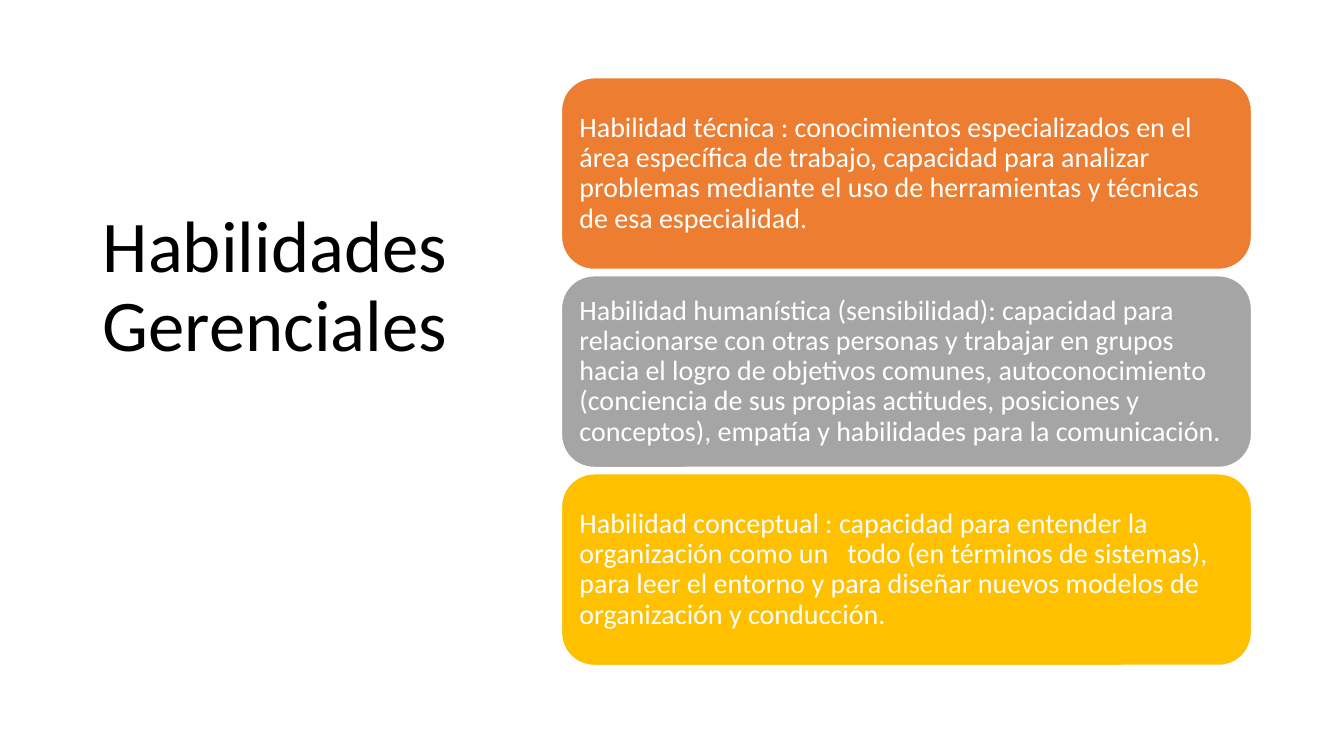
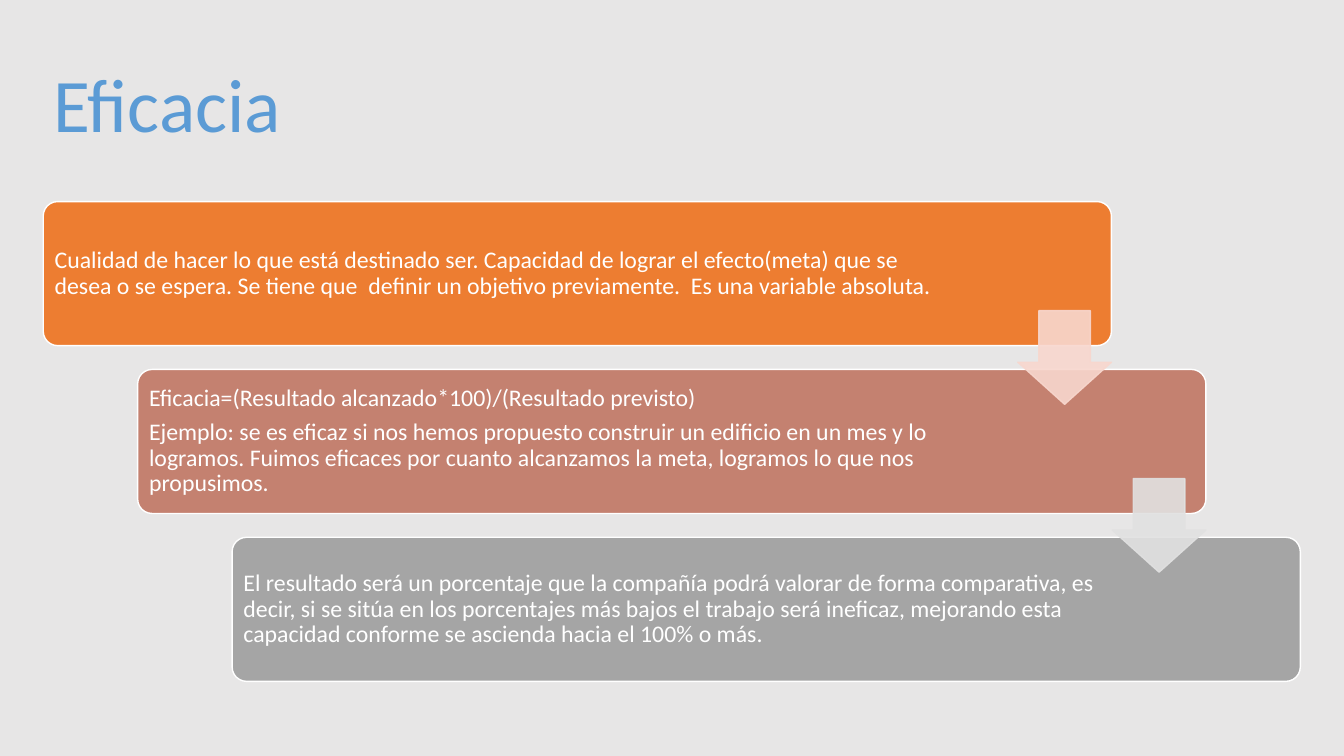
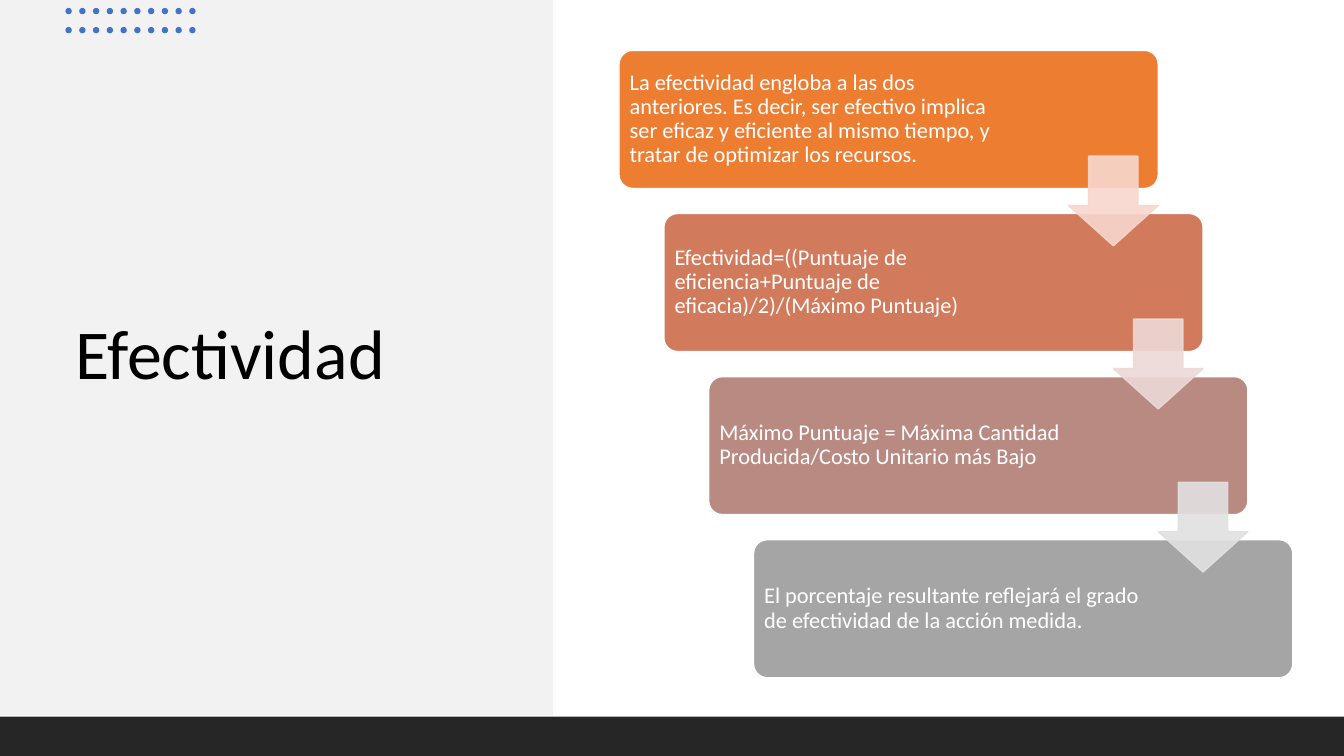
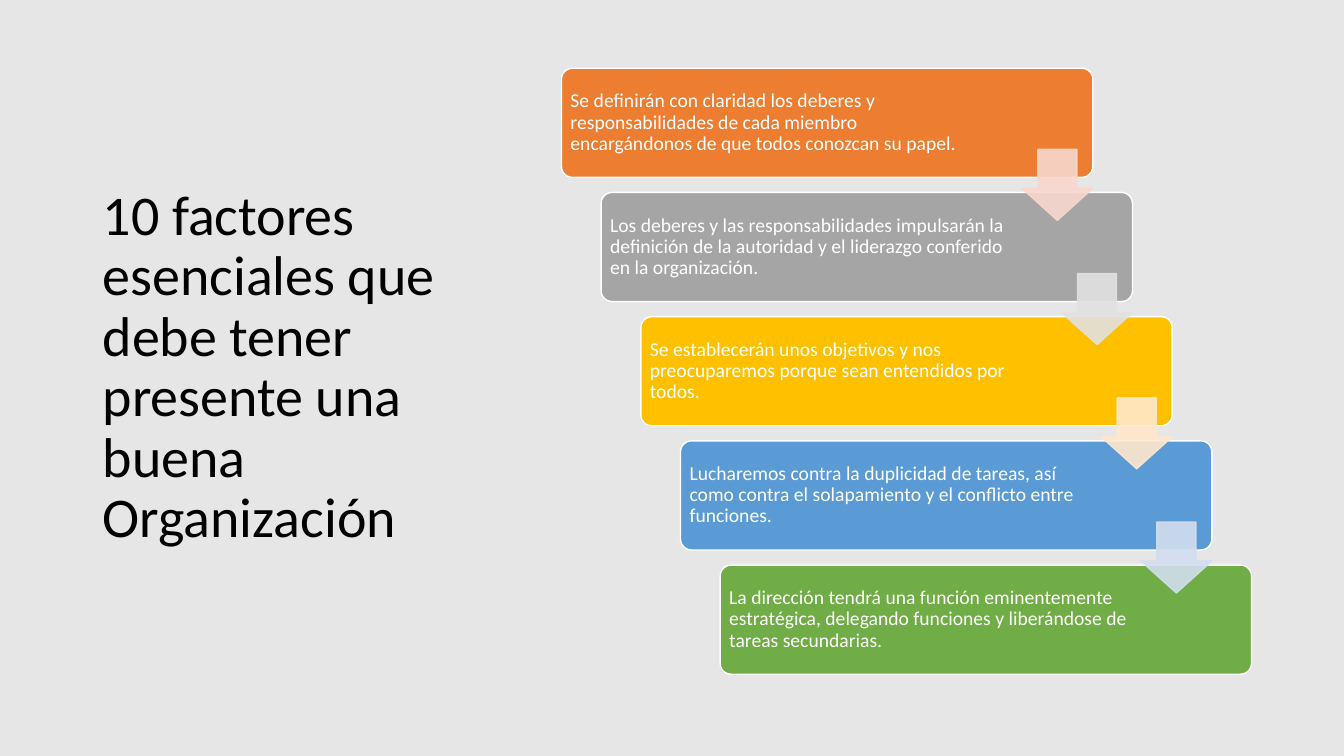
from lxml.etree import SubElement
from pptx import Presentation
from pptx.dml.color import RGBColor
from pptx.enum.shapes import MSO_SHAPE as Kind
from pptx.enum.text import MSO_ANCHOR as Anchor, PP_ALIGN as Align
from pptx.oxml.ns import qn
from pptx.util import Cm, Pt

FONT = "Calibri"
WHITE = RGBColor(0xFF, 0xFF, 0xFF)
BLACK = RGBColor(0x00, 0x00, 0x00)
MIST = RGBColor(0xE7, 0xE6, 0xE6)
PALE = RGBColor(0xF2, 0xF2, 0xF2)
DARK = RGBColor(0x26, 0x26, 0x26)
NAVY = RGBColor(0x44, 0x72, 0xC4)
BLUE = RGBColor(0x5B, 0x9B, 0xD5)
ORANGE = RGBColor(0xED, 0x7D, 0x31)
GREY = RGBColor(0xA5, 0xA5, 0xA5)
GOLD = RGBColor(0xFF, 0xC0, 0x00)
GREEN = RGBColor(0x70, 0xAD, 0x47)
CORAL = RGBColor(0xD1, 0x7B, 0x5C)
CLAY = RGBColor(0xC4, 0x81, 0x70)
ROSE = RGBColor(0xB9, 0x8A, 0x82)
PEACH = RGBColor(0xF8, 0xD7, 0xCE)
BLUSH = RGBColor(0xED, 0xD9, 0xD7)
SILVER = RGBColor(0xE1, 0xE1, 0xE1)
CREAM = RGBColor(0xFF, 0xE8, 0xCC)
SKY = RGBColor(0xD2, 0xDE, 0xEF)

# Lengths are in cm. A card is (fill, paragraphs).
# box: first card; step: shift from card to card; room: text width of first and later cards.
SLIDES = [
    dict(
        back=WHITE, panel=False,
        title=("Habilidades Gerenciales", 52, BLACK, (2.34, 1.55, 9.37, 11.45)),
        box=(14.15, 1.96, 17.39, 4.83), step=(0, 4.99), room=(16.92, 16.92),
        curve=0.17, size=20, arrows=[],
        cards=[
            (ORANGE, ["Habilidad técnica : conocimientos especializados en el área "
                      "específica de trabajo, capacidad para analizar problemas mediante "
                      "el uso de herramientas y técnicas de esa especialidad."]),
            (GREY, ["Habilidad humanística (sensibilidad): capacidad para relacionarse "
                    "con otras personas y trabajar en grupos hacia el logro de objetivos "
                    "comunes, autoconocimiento (conciencia de sus propias actitudes, "
                    "posiciones y conceptos), empatía y habilidades para la "
                    "comunicación."]),
            (GOLD, ["Habilidad conceptual : capacidad para entender la organización "
                    "como un   todo (en términos de sistemas), para leer el entorno y "
                    "para diseñar nuevos modelos de organización y conducción."]),
        ]),
    dict(
        back=MIST, panel=False,
        title=("Eficacia", 54, BLUE, (1.09, 0.89, 31.7, 3.68)),
        box=(1.09, 5.08, 26.92, 3.63), step=(2.38, 4.23), room=(23.01, 22),
        curve=0.1, size=17, arrows=[PEACH, SILVER],
        cards=[
            (ORANGE, ["Cualidad de hacer lo que está destinado ser. Capacidad de lograr "
                      "el efecto(meta) que se desea o se espera. Se tiene que  definir un "
                      "objetivo previamente.  Es una variable absoluta."]),
            (CLAY, ["Eficacia=(Resultado alcanzado*100)/(Resultado previsto)",
                    "Ejemplo: se es eficaz si nos hemos propuesto construir un edificio "
                    "en un mes y lo logramos. Fuimos eficaces por cuanto alcanzamos la "
                    "meta, logramos lo que nos propusimos."]),
            (GREY, ["El resultado será un porcentaje que la compañía podrá valorar de "
                    "forma comparativa, es decir, si se sitúa en los porcentajes más "
                    "bajos el trabajo será ineficaz, mejorando esta capacidad conforme "
                    "se ascienda hacia el 100% o más."]),
        ]),
    dict(
        back=WHITE, panel=True,
        title=("Efectividad", 50, BLACK, (1.65, 3.35, 10.77, 11.3)),
        box=(15.6, 1.27, 13.59, 3.48), step=(1.13, 4.11), room=(9.55, 9.98),
        curve=0.1, size=16, arrows=[PEACH, BLUSH, SILVER],
        cards=[
            (ORANGE, ["La efectividad engloba a las dos anteriores. Es decir, ser "
                      "efectivo implica ser eficaz y eficiente al mismo tiempo, y tratar "
                      "de optimizar los recursos."]),
            (CORAL, ["Efectividad=((Puntuaje de eficiencia+Puntuaje de "
                     "eficacia)/2)/(Máximo Puntuaje)"]),
            (ROSE, ["Máximo Puntuaje = Máxima Cantidad Producida/Costo Unitario más "
                    "Bajo"]),
            (GREY, ["El porcentaje resultante reflejará el grado de efectividad de la "
                    "acción medida."]),
        ]),
    dict(
        back=MIST, panel=False,
        title=("10 factores esenciales\u00a0que debe tener presente una buena "
               "Organización", 40, BLACK, (2.34, 1.55, 9.37, 15.47)),
        box=(14.15, 1.72, 13.39, 2.75), step=(1, 3.13), room=(10.11, 10.44),
        curve=0.1, size=14, arrows=[PEACH, SILVER, CREAM, SKY],
        cards=[
            (ORANGE, ["Se definirán con claridad los deberes y responsabilidades de cada "
                      "miembro encargándonos de que todos conozcan su papel."]),
            (GREY, ["Los deberes y las responsabilidades impulsarán la definición de la "
                    "autoridad y el liderazgo conferido en la organización."]),
            (GOLD, ["Se establecerán unos objetivos y nos preocuparemos porque sean "
                    "entendidos por todos."]),
            (BLUE, ["Lucharemos contra la duplicidad de tareas, así como contra el "
                    "solapamiento y el conflicto entre funciones."]),
            (GREEN, ["La dirección tendrá una función eminentemente estratégica, "
                     "delegando funciones y liberándose de tareas secundarias."]),
        ]),
]


def put(slide, kind, box, fill, line=None, curves=()):
    """Add a flat preset shape with an optional 1 pt outline."""
    shape = slide.shapes.add_shape(kind, *[Cm(n) for n in box])
    shape.shadow.inherit = False
    shape.fill.solid()
    shape.fill.fore_color.rgb = fill
    if line is None:
        shape.line.fill.background()
    else:
        shape.line.color.rgb = line
        shape.line.width = Pt(1)
    for i, curve in enumerate(curves):
        shape.adjustments[i] = curve
    return shape


def write(shape, paras, size, color, after=0, **form):
    """Fill a shape with left-aligned, vertically centred paragraphs."""
    frame = shape.text_frame
    form = dict(word_wrap=True, vertical_anchor=Anchor.MIDDLE, **form)
    for name, value in form.items():
        setattr(frame, name, value)
    for i, text in enumerate(paras):
        para = frame.add_paragraph() if i else frame.paragraphs[0]
        look = dict(alignment=Align.LEFT, line_spacing=0.9, space_after=Pt(after))
        for name, value in look.items():
            setattr(para, name, value)
        run = para.add_run()
        run.text = text
        for name, value in dict(name=FONT, size=Pt(size)).items():
            setattr(run.font, name, value)
        run.font.color.rgb = color


def add_title(slide, text, size, color, box):
    """Add the slide title."""
    area = slide.shapes.add_textbox(*[Cm(n) for n in box])
    write(area, [text], size, color)


def add_panel(slide):
    """Draw the side panel, the bottom band and the dot grid."""
    put(slide, Kind.RECTANGLE, (0, 0, 13.94, 18.03), PALE)
    put(slide, Kind.RECTANGLE, (0, 18.06, 33.87, 0.99), DARK)
    cols, rows, span = 10, 2, 3.12
    for col in range(cols):
        for row in range(rows):
            spot = (1.65 + col * span / (cols - 1), 0.2 + row * 0.48, 0.16, 0.16)
            put(slide, Kind.OVAL, spot, NAVY)


def add_cards(slide, data):
    """Lay out the cards, each shifted by one step from the last."""
    left, top, wide, high = data["box"]
    dx, dy = data["step"]
    size, curve = data["size"], data["curve"]
    pad = Pt(size * 0.3)
    inner = wide - 2 * 0.29 * curve * high  # text area between the round corners
    for i, (fill, paras) in enumerate(data["cards"]):
        box = (left + i * dx, top + i * dy, wide, high)
        card = put(slide, Kind.ROUNDED_RECTANGLE, box, fill, WHITE, [curve])
        room = data["room"][min(i, 1)]
        write(card, paras, size, WHITE, size * 0.35,
              margin_left=pad, margin_top=pad, margin_bottom=pad,
              margin_right=pad + Cm(max(inner - room, 0)))


def add_arrows(slide, data):
    """Centre a see-through arrow on each gap, flush with the upper card's right."""
    left, top, wide, high = data["box"]
    dx, dy = data["step"]
    side = high * 0.65
    for i, tint in enumerate(data["arrows"]):
        box = (left + i * dx + wide - side,
               top + i * dy + (high + dy - side) / 2, side, side)
        arrow = put(slide, Kind.DOWN_ARROW, box, tint, tint, [0.55, 0.45])
        for color in arrow.element.spPr.iter(qn("a:srgbClr")):
            SubElement(color, qn("a:alpha"), val="90000")


deck = Presentation()
deck.slide_width, deck.slide_height = Cm(33.87), Cm(19.05)
for data in SLIDES:
    slide = deck.slides.add_slide(deck.slide_layouts[6])
    slide.background.fill.solid()
    slide.background.fill.fore_color.rgb = data["back"]
    if data["panel"]:
        add_panel(slide)
    add_title(slide, *data["title"])
    add_cards(slide, data)
    add_arrows(slide, data)
deck.save("out.pptx")
